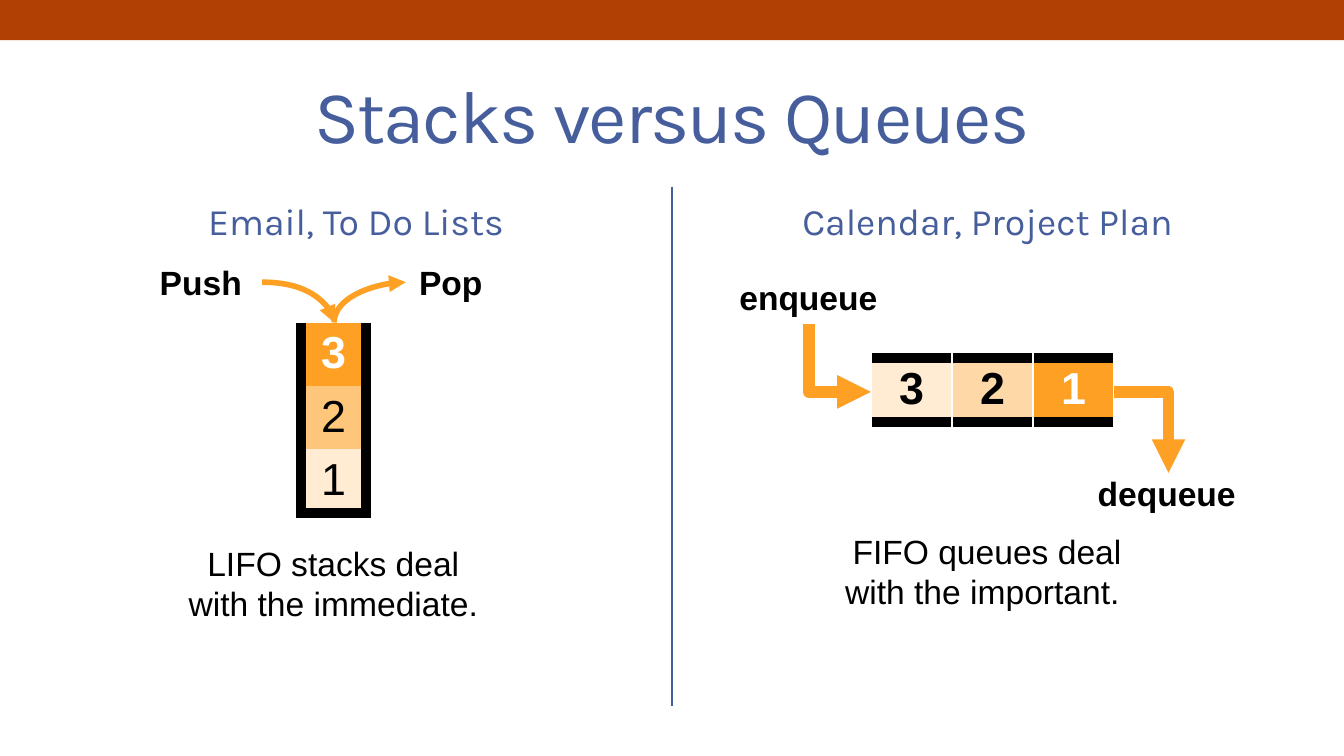
from dataclasses import dataclass

from lxml import etree
from pptx import Presentation
from pptx.dml.color import RGBColor
from pptx.enum.shapes import MSO_CONNECTOR, MSO_SHAPE
from pptx.enum.text import MSO_ANCHOR, PP_ALIGN
from pptx.oxml.ns import qn
from pptx.util import Pt

LEFT, CENTER = PP_ALIGN.LEFT, PP_ALIGN.CENTER
MIDDLE = MSO_ANCHOR.MIDDLE
STRAIGHT, ELBOW, CURVE = MSO_CONNECTOR.STRAIGHT, MSO_CONNECTOR.ELBOW, MSO_CONNECTOR.CURVE
RECTANGLE = MSO_SHAPE.RECTANGLE
COMPARISON_LAYOUT = 4


@dataclass(frozen=True)
class Theme:
    band: str = "B04004"
    heading: str = "465E9C"
    accent: str = "FDA023"
    stack_mid: str = "FEC67B"
    queue_mid: str = "FED9A7"
    pale: str = "FFECD3"
    ink: str = "000000"
    paper: str = "FFFFFF"
    heading_font: str = "Karla"
    body_font: str = "Arial"
    title_size: int = 40
    subtitle_size: int = 20
    text_size: int = 18
    cell_size: int = 24


def color(value):
    return RGBColor.from_string(value)


def apply(target, values):
    for name, value in values.items():
        setattr(target, name, value)


def place(shape, box):
    apply(shape, dict(zip(("left", "top", "width", "height"), map(Pt, box))))


class SlideBuilder:
    def __init__(self, slide, theme):
        self.slide, self.theme = slide, theme

    def set_text(self, frame, text, size, ink, font=None, bold=False, align=CENTER):
        frame.text = text
        paragraph = frame.paragraphs[0]
        paragraph.alignment = align
        for run in paragraph.runs:
            apply(run.font, {"name": font or self.theme.body_font, "size": Pt(size), "bold": bold})
            run.font.color.rgb = color(ink)
        return paragraph

    def bar(self, box):
        bar = self.slide.shapes.add_shape(RECTANGLE, *map(Pt, box))
        bar.shadow.inherit = False
        bar.fill.solid()
        bar.fill.fore_color.rgb = color(self.theme.band)
        bar.line.fill.background()

    def heading(self, index, box, text, size):
        placeholder = next(p for p in self.slide.placeholders
                           if p.placeholder_format.idx == index)
        place(placeholder, box)
        placeholder.text_frame.vertical_anchor = MIDDLE
        return self.set_text(placeholder.text_frame, text, size,
                             self.theme.heading, self.theme.heading_font)

    def remove_empty_placeholders(self):
        for placeholder in list(self.slide.placeholders):
            if not placeholder.text_frame.text:
                placeholder.element.getparent().remove(placeholder.element)

    def label(self, box, text, bold=False, align=CENTER, spacing=None):
        frame = self.slide.shapes.add_textbox(*map(Pt, box)).text_frame
        frame.word_wrap = True
        paragraph = self.set_text(frame, text, self.theme.text_size, self.theme.ink,
                                  bold=bold, align=align)
        if spacing:
            paragraph.line_spacing = Pt(spacing)

    def connector(self, kind, start, end, ink, width, arrow=None, preset=None):
        """Draw a line; arrow is headEnd (at start) or tailEnd (at end)."""
        line = self.slide.shapes.add_connector(kind, *map(Pt, start + end))
        line.line.color.rgb = color(ink)
        line.line.width = Pt(width)
        properties = line.element.spPr
        etree.SubElement(properties, qn("a:effectLst"))
        if preset:
            properties.find(qn("a:prstGeom")).set("prst", preset)
        if arrow:
            outline = properties.find(qn("a:ln"))
            etree.SubElement(outline, qn(f"a:{arrow}"), type="triangle")

    def cell_borders(self, cell, borders):
        """Set borders from side: (colour, width); sides left out have none."""
        properties = cell._tc.get_or_add_tcPr()
        for position, side in enumerate("LRTB"):
            border = etree.Element(qn(f"a:ln{side}"))
            if side in borders:
                ink, width = borders[side]
                border.set("w", str(Pt(width)))
                fill = etree.SubElement(border, qn("a:solidFill"))
                etree.SubElement(fill, qn("a:srgbClr"), val=ink)
            else:
                etree.SubElement(border, qn("a:noFill"))
            properties.insert(position, border)

    def cells(self, origin, size, columns, entries):
        """Fill a grid row by row; an entry is text, fill, ink, bold, borders."""
        rows = len(entries) // columns
        width, height = size
        table = self.slide.shapes.add_table(
            rows, columns, *map(Pt, origin + (width * columns, height * rows))).table
        apply(table, {"first_row": False, "horz_banding": False})
        for cell, (text, fill, ink, bold, borders) in zip(table.iter_cells(), entries):
            apply(cell, {"margin_top": Pt(3), "margin_bottom": Pt(3)})
            cell.fill.solid()
            cell.fill.fore_color.rgb = color(fill)
            self.set_text(cell.text_frame, text, self.theme.cell_size, ink, bold=bold)
            self.cell_borders(cell, borders)


def main():
    theme = Theme()
    deck = Presentation()
    deck.slide_width, deck.slide_height = Pt(720), Pt(405)
    slide = deck.slides.add_slide(deck.slide_layouts[COMPARISON_LAYOUT])
    builder = SlideBuilder(slide, theme)

    builder.bar((0, 0, 720, 21.6))
    builder.connector(STRAIGHT, (360, 100), (360, 378), theme.heading, 1.5)
    title = builder.heading(0, (36, 31.7, 648, 58.3), "Stacks versus Queues", theme.title_size)
    title.runs[0].font._element.set("spc", "-100")
    for index, left, text in ((1, 36, "Email, To Do Lists"), (3, 374.4, "Calendar, Project Plan")):
        builder.heading(index, (left, 99.4, 309.6, 37.4), text, theme.subtitle_size)
    builder.remove_empty_placeholders()

    wall, gap = (theme.ink, 6), (theme.paper, 1)
    sides = {"L": wall, "R": wall}
    builder.cells((161.4, 172.8), (34.6, 34), 1, [
        ("3", theme.accent, theme.paper, True, sides),
        ("2", theme.stack_mid, theme.ink, False, sides),
        ("1", theme.pale, theme.ink, False, {**sides, "B": wall}),
    ])
    channel = {"L": gap, "R": gap, "T": wall, "B": wall}
    builder.cells((466.6, 192), (43.4, 34), 3, [
        ("3", theme.pale, theme.ink, True, channel),
        ("2", theme.queue_mid, theme.ink, True, channel),
        ("1", theme.accent, theme.paper, True, channel),
    ])

    stack_top = (179, 172.8)
    for start, arrow in (((140.4, 151.2), "tailEnd"), ((217.4, 151.2), "headEnd")):
        builder.connector(CURVE, start, stack_top, theme.accent, 3, arrow, "curvedConnector2")
    for start, end, arrow in (((466.6, 210), (433.4, 173.5), "headEnd"),
                              ((596.8, 210), (626, 253.4), "tailEnd")):
        builder.connector(ELBOW, start, end, theme.accent, 6, arrow, "bentConnector2")

    builder.label((78.5, 136.8, 62, 28.8), "Push", bold=True, align=LEFT)
    builder.label((217.4, 136.8, 57, 28.8), "Pop", bold=True, align=LEFT)
    builder.label((387.4, 148.3, 91.4, 25.2), "enqueue", bold=True, spacing=18)
    builder.label((581, 253.4, 91.4, 25.2), "dequeue", bold=True, align=LEFT, spacing=18)
    builder.label((92.2, 287.3, 172.8, 51), "LIFO stacks deal\vwith the immediate.")
    builder.label((389.5, 280.8, 278.6, 51), "FIFO queues deal\vwith the important. ")

    deck.save("out.pptx")


if __name__ == "__main__":
    main()
